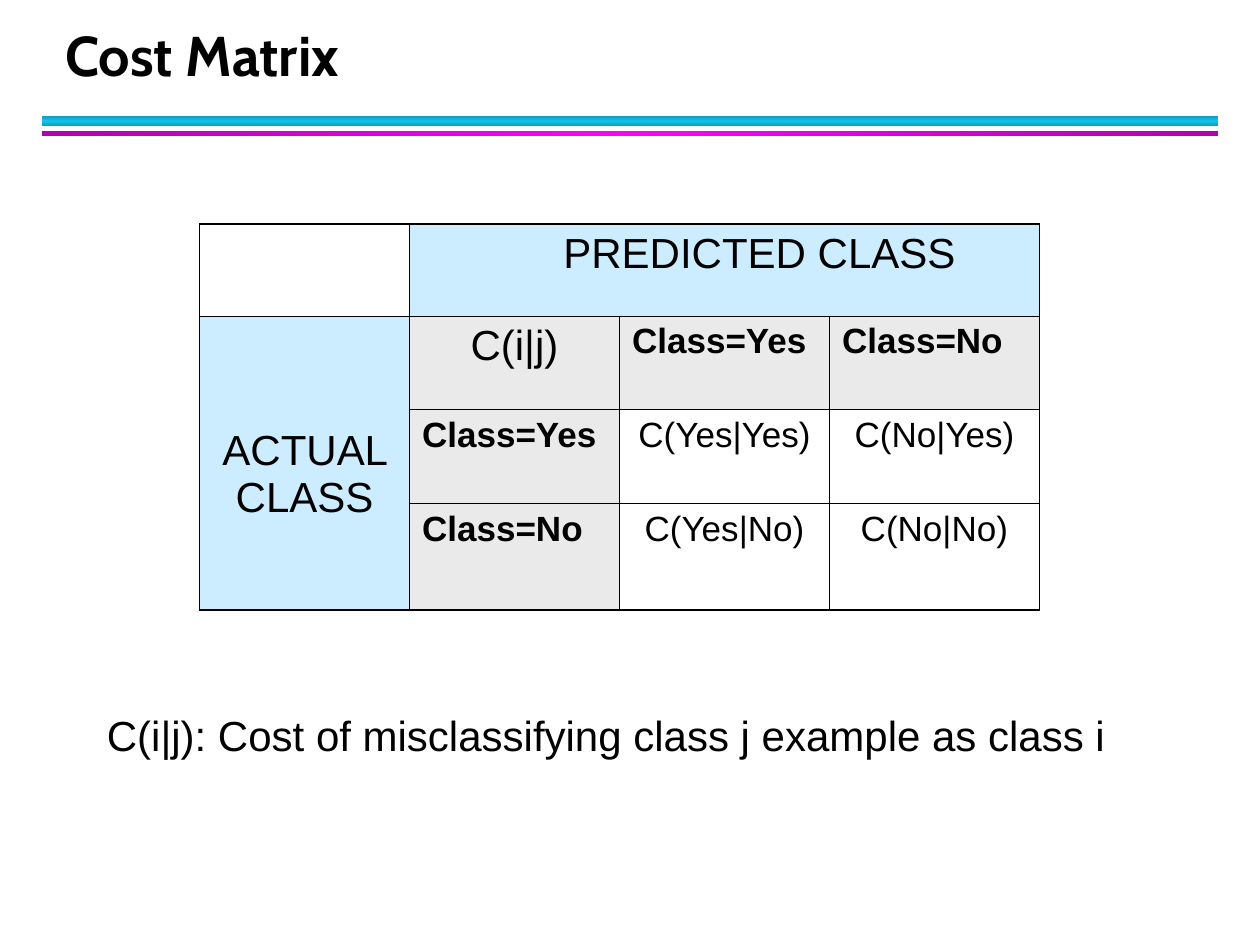
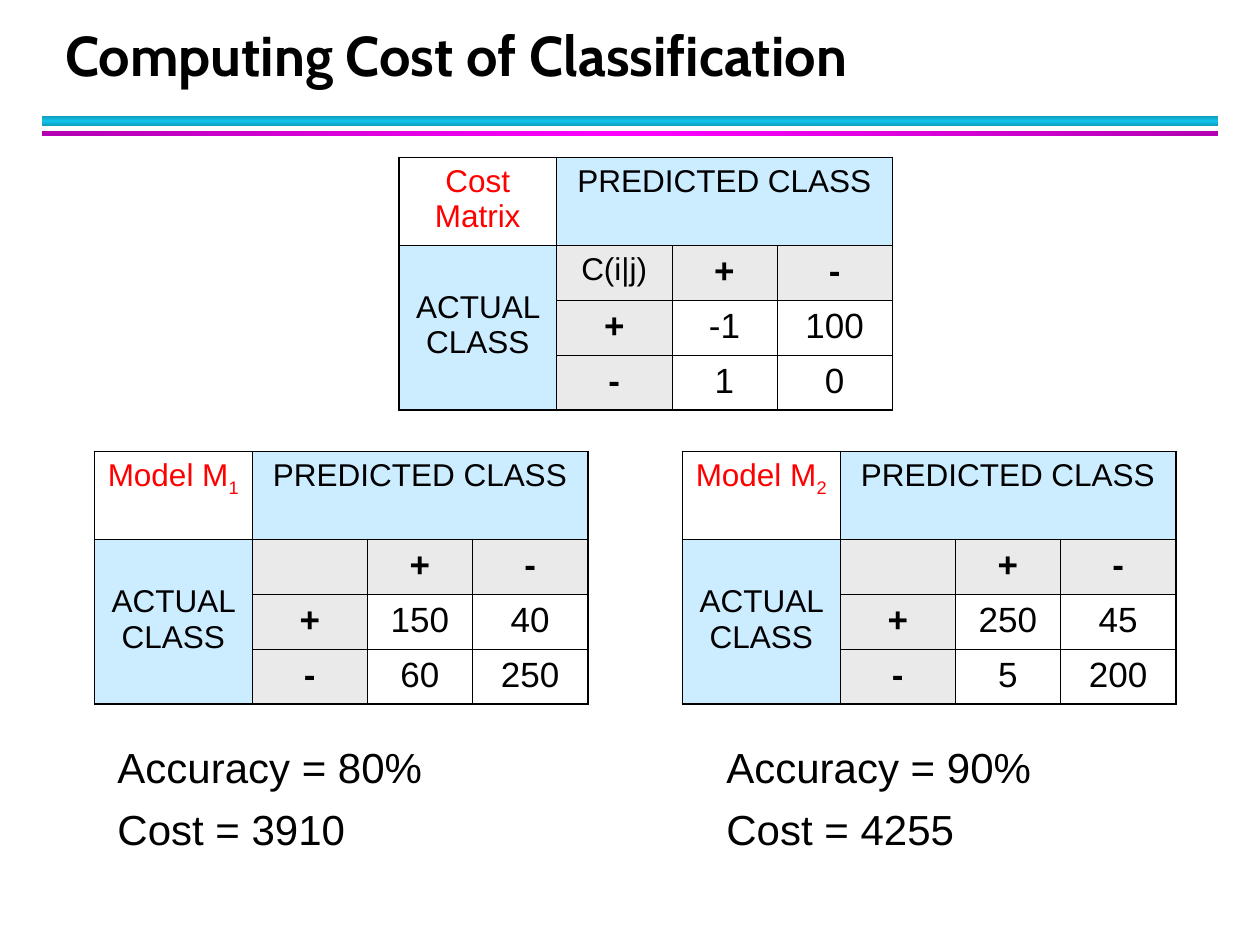
from copy import deepcopy
from lxml.etree import SubElement
from pptx import Presentation
from pptx.dml.color import RGBColor
from pptx.enum.shapes import MSO_SHAPE
from pptx.enum.text import MSO_ANCHOR, MSO_AUTO_SIZE, PP_ALIGN
from pptx.oxml.ns import qn
from pptx.util import Pt

BLACK, RED, SKY, GREY = "000000", "FF0000", "CCECFF", "EAEAEA"
BANDS = [
    (66.2, 6, "0E9BBA", "12C2E9", 90),
    (75, 2.8, "B200B2", "FF00FF", 0),
]
LARGE = dict(cols=[120] * 4, rows=[52.5, 53.5, 53.5, 61], head=24,
             label_align=PP_ALIGN.LEFT, head_indent=40, actual_top=17)
SMALL = dict(cols=[90, 66, 60, 66], rows=[50.2, 31.4, 31.4, 31.4], head=18,
             label_align=PP_ALIGN.CENTER, head_indent=0, actual_top=1)
SIGNS = ["+", "-"]

SLIDES = [
    dict(
        title="Cost Matrix",
        matrices=[
            dict(at=(114, 128), style=LARGE, corner=("", ""), key="C(i|j)",
                 labels=["Class=Yes", "Class=No"],
                 values=[["C(Yes|Yes)", "C(No|Yes)"], ["C(Yes|No)", "C(No|No)"]]),
        ],
        notes=[((54, 402, 618, 72),
                ["C(i|j): Cost of misclassifying class j example as class i"])],
    ),
    dict(
        title="Computing Cost of Classification",
        matrices=[
            dict(at=(228, 90), style=SMALL, corner=("Cost Matrix", ""), key="C(i|j)",
                 labels=SIGNS, values=[["-1", "100"], ["1", "0"]]),
            dict(at=(54, 258), style=SMALL, corner=("Model M", "1"), key="",
                 labels=SIGNS, values=[["150", "40"], ["60", "250"]]),
            dict(at=(390, 258), style=SMALL, corner=("Model M", "2"), key="",
                 labels=SIGNS, values=[["250", "45"], ["5", "200"]]),
        ],
        notes=[
            ((60, 420, 240, 78), ["Accuracy = 80%", "Cost = 3910"]),
            ((408, 420, 240, 78), ["Accuracy = 90%", "Cost = 4255"]),
        ],
    ),
]


def rgb(color):
    return RGBColor.from_string(color)


def set_font(p, size, color=BLACK, bold=False, name="Arial"):
    p.font.name = name
    p.font.size = Pt(size)
    p.font.bold = bold
    p.font.color.rgb = rgb(color)


def add_title(s, text):
    sp = s.shapes.title
    sp.left, sp.top, sp.width, sp.height = Pt(30), Pt(12.2), Pt(652), Pt(41.8)
    tf = sp.text_frame
    tf.text = text
    tf.auto_size = MSO_AUTO_SIZE.NONE
    tf.vertical_anchor = MSO_ANCHOR.BOTTOM
    p = tf.paragraphs[0]
    p.alignment = PP_ALIGN.LEFT
    p.line_spacing = Pt(36)
    set_font(p, 32, bold=True, name="Cabin")


def add_band(s, top, height, edge, core, angle):
    sp = s.shapes.add_shape(MSO_SHAPE.RECTANGLE, Pt(24), Pt(top), Pt(672), Pt(height))
    sp.shadow.inherit = False
    sp.line.fill.background()
    sp.fill.gradient()
    sp.fill.gradient_angle = angle
    first, middle = sp.fill.gradient_stops
    first.color.rgb, first.position = rgb(edge), 0
    middle.color.rgb, middle.position = rgb(core), 0.5
    stops = sp._element.spPr.find(".//" + qn("a:gsLst"))
    last = deepcopy(stops[0])
    last.set("pos", "100000")
    stops.append(last)


def set_borders(cell, row, col):
    outer = {
        "a:lnL": col == 0,
        "a:lnR": col + cell.span_width == 4,
        "a:lnT": row == 0,
        "a:lnB": row + cell.span_height == 4,
    }
    tcPr = cell._tc.get_or_add_tcPr()
    for tag, is_outer in outer.items():
        ln = SubElement(tcPr, qn(tag), w=str(Pt(1.08 if is_outer else 0.45)))
        SubElement(SubElement(ln, qn("a:solidFill")), qn("a:srgbClr"), val=BLACK)


def paint(cell, row, col):
    if row == 0 and col == 0 or row > 1 and col > 1:
        cell.fill.background()
    else:
        cell.fill.solid()
        cell.fill.fore_color.rgb = rgb(SKY if row == 0 or col == 0 else GREY)


def add_matrix(s, at, style, corner, key, labels, values):
    cols, rows = style["cols"], style["rows"]
    frame = s.shapes.add_table(4, 4, Pt(at[0]), Pt(at[1]), Pt(sum(cols)), Pt(sum(rows)))
    table = frame.table
    table.first_row = table.horz_banding = False
    for column, width in zip(table.columns, cols):
        column.width = Pt(width)
    for line, height in zip(table.rows, rows):
        line.height = Pt(height)
    predicted, actual = table.cell(0, 1), table.cell(1, 0)
    predicted.merge(table.cell(0, 3))
    actual.merge(table.cell(3, 0))
    predicted.margin_left = Pt(7.2 + style["head_indent"])
    actual.margin_top = Pt(style["actual_top"])
    actual.vertical_anchor = MSO_ANCHOR.MIDDLE

    grid = [
        [corner[0], "PREDICTED CLASS", "", ""],
        ["ACTUAL CLASS", key, *labels],
        *[["", label, *line] for label, line in zip(labels, values)],
    ]
    for row, line in enumerate(grid):
        for col, text in enumerate(line):
            cell = table.cell(row, col)
            set_borders(cell, row, col)
            paint(cell, row, col)
            if cell.is_spanned:
                continue
            is_head = row == 0 or col == 0 or row == col == 1
            is_label = not is_head and (row == 1 or col == 1)
            p = cell.text_frame.paragraphs[0]
            p.alignment = style["label_align"] if is_label else PP_ALIGN.CENTER
            set_font(p, style["head"] if is_head else 20,
                     RED if row == col == 0 else BLACK, is_label)
            if text:
                p.add_run().text = text
    if corner[1]:
        r = table.cell(0, 0).text_frame.paragraphs[0].add_run()
        r.text = corner[1]
        r._r.get_or_add_rPr().set("baseline", "-25000")


def add_note(s, box, lines):
    tf = s.shapes.add_textbox(*map(Pt, box)).text_frame
    tf.word_wrap = True
    for i, text in enumerate(lines):
        p = tf.add_paragraph() if i else tf.paragraphs[0]
        p.text = text
        if i:
            p.space_before = Pt(7)
        set_font(p, 24)


def main():
    prs = Presentation()
    prs.slide_width, prs.slide_height = Pt(720), Pt(540)
    for content in SLIDES:
        s = prs.slides.add_slide(prs.slide_layouts[5])
        for band in BANDS:
            add_band(s, *band)
        add_title(s, content["title"])
        for matrix in content["matrices"]:
            add_matrix(s, **matrix)
        for box, lines in content["notes"]:
            add_note(s, box, lines)
    prs.save("out.pptx")


if __name__ == "__main__":
    main()
